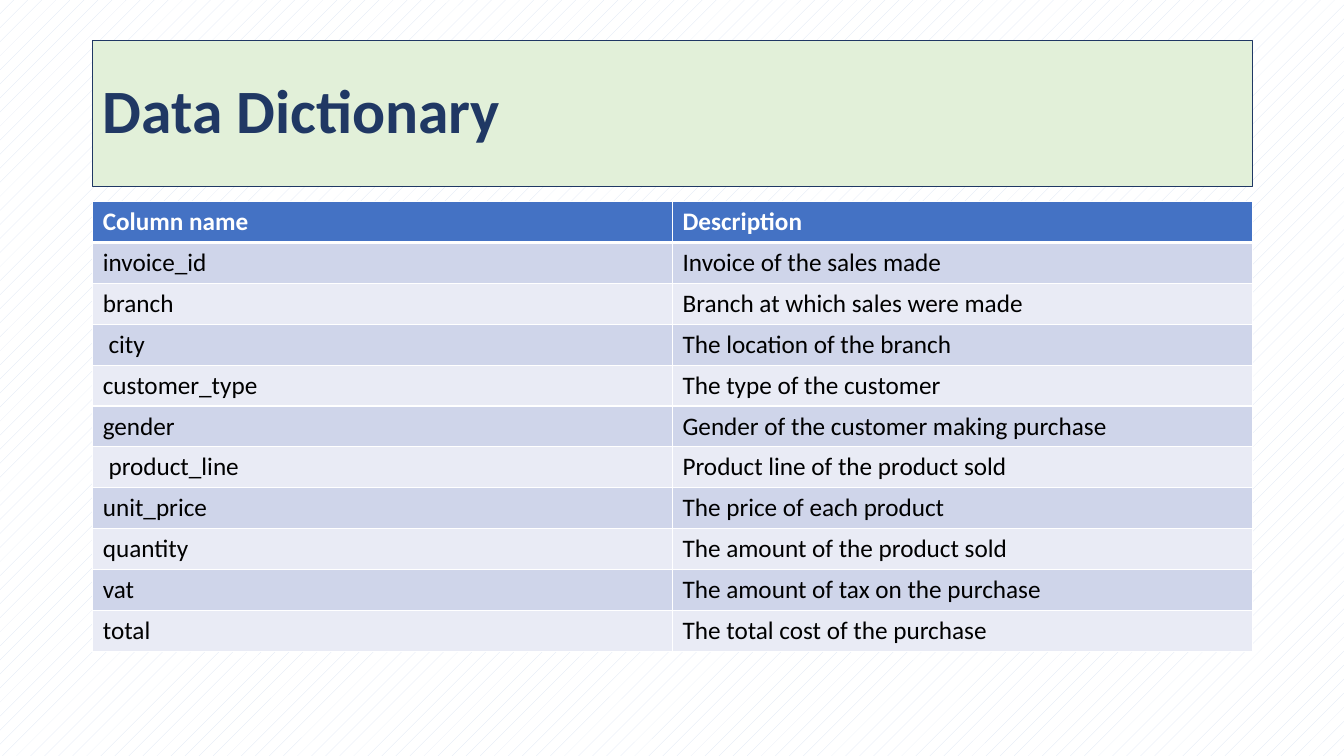
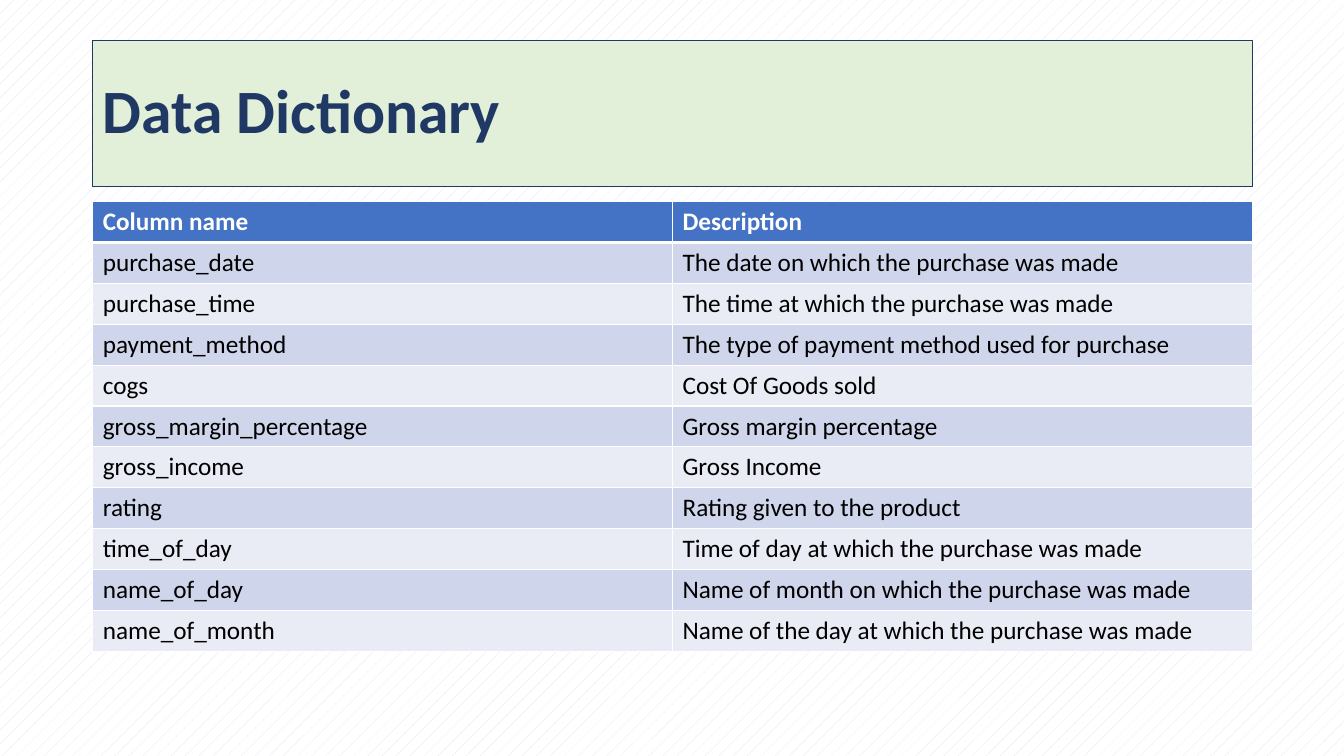
from lxml import etree
from pptx import Presentation
from pptx import util as u
from pptx.dml import color
from pptx.enum import dml, text
from pptx.oxml import ns

FONT = "Calibri"
NAVY = "203864"
PALE_GREEN = "E2F0D9"
PALE_BLUE = "DAE3F3"
WHITE = "FFFFFF"
BLACK = "000000"
HEADER_BLUE = "4472C4"
BANDS = ("CFD5EA", "E9EBF5")

TITLE_BOX = (0.92, 0.4, 11.5, 1.45)
TABLE_BOX = (0.92, 2, 11.5, 4.46)
HEADINGS = ("Column name", "Description")

SALE_COLUMNS = [
    ("invoice_id", "Invoice of the sales made"),
    ("branch", "Branch at which sales were made"),
    (" city", "The location of the branch"),
    ("customer_type", "The type of the customer"),
    ("gender", "Gender of the customer making purchase"),
    (" product_line", "Product line of the product sold"),
    ("unit_price", "The price of each product"),
    ("quantity", "The amount of the product sold"),
    ("vat", "The amount of tax on the purchase"),
    ("total", "The total cost of the purchase"),
]
PURCHASE_COLUMNS = [
    ("purchase_date", "The date on which the purchase was made"),
    ("purchase_time", "The time at which the purchase was made"),
    ("payment_method", "The type of payment method used for purchase"),
    ("cogs", "Cost Of Goods sold"),
    ("gross_margin_percentage", "Gross margin percentage"),
    ("gross_income", "Gross Income"),
    ("rating", "Rating given to the product"),
    ("time_of_day", "Time of day at which the purchase was made"),
    ("name_of_day", "Name of month on which the purchase was made"),
    ("name_of_month", "Name of the day at which the purchase was made"),
]


def rgb(value):
    return color.RGBColor.from_string(value)


def paint(fill, value):
    fill.solid()
    fill.fore_color.rgb = rgb(value)


def add_span(para, words, size, value, bold):
    span = para.add_run()
    span.text = words
    span.font.name = FONT
    span.font.size = u.Pt(size)
    span.font.bold = bold
    span.font.color.rgb = rgb(value)


def set_borders(cell, top, bottom):
    properties = cell._tc.get_or_add_tcPr()
    for side, width in (("L", 1), ("R", 1), ("T", top), ("B", bottom)):
        line = etree.SubElement(properties, ns.qn(f"a:ln{side}"), w=str(u.Pt(width)))
        fill = etree.SubElement(line, ns.qn("a:solidFill"))
        etree.SubElement(fill, ns.qn("a:srgbClr"), val=WHITE)


def set_background(master):
    fill = master.background.fill
    fill.patterned()
    fill.pattern = dml.MSO_PATTERN.PERCENT_5
    fill.fore_color.rgb = rgb(PALE_BLUE)
    fill.back_color.rgb = rgb(WHITE)


def place_title(page, words, box):
    title = page.shapes.title
    title.left, title.top, title.width, title.height = map(u.Inches, box)
    paint(title.fill, PALE_GREEN)
    title.line.color.rgb = rgb(NAVY)
    title.line.width = u.Pt(0.75)
    frame = title.text_frame
    frame.word_wrap = True
    frame.vertical_anchor = text.MSO_ANCHOR.MIDDLE
    para = frame.paragraphs[0]
    para.alignment = text.PP_ALIGN.LEFT
    para.line_spacing = 0.9
    add_span(para, words, 44, NAVY, True)


def place_dictionary(page, entries, box):
    records = [HEADINGS, *entries]
    left, top, width, height = map(u.Inches, box)
    table = page.shapes.add_table(
        len(records), len(HEADINGS), left, top, width, height
    ).table
    for row_index, record in enumerate(records):
        header = row_index == 0
        for column_index, words in enumerate(record):
            cell = table.cell(row_index, column_index)
            set_borders(cell, 3 if row_index == 1 else 1, 3 if header else 1)
            paint(cell.fill, HEADER_BLUE if header else BANDS[(row_index - 1) % 2])
            para = cell.text_frame.paragraphs[0]
            para.alignment = (
                text.PP_ALIGN.JUSTIFY if column_index else text.PP_ALIGN.LEFT
            )
            add_span(para, words, 18, WHITE if header else BLACK, header)


def add_dictionary_slide(deck, entries):
    page = deck.slides.add_slide(deck.slide_layouts.get_by_name("Title Only"))
    place_title(page, "Data Dictionary", TITLE_BOX)
    place_dictionary(page, entries, TABLE_BOX)


def main():
    deck = Presentation()
    deck.slide_width, deck.slide_height = u.Inches(13.33), u.Inches(7.5)
    set_background(deck.slide_master)
    for entries in (SALE_COLUMNS, PURCHASE_COLUMNS):
        add_dictionary_slide(deck, entries)
    deck.save("out.pptx")


if __name__ == "__main__":
    main()
